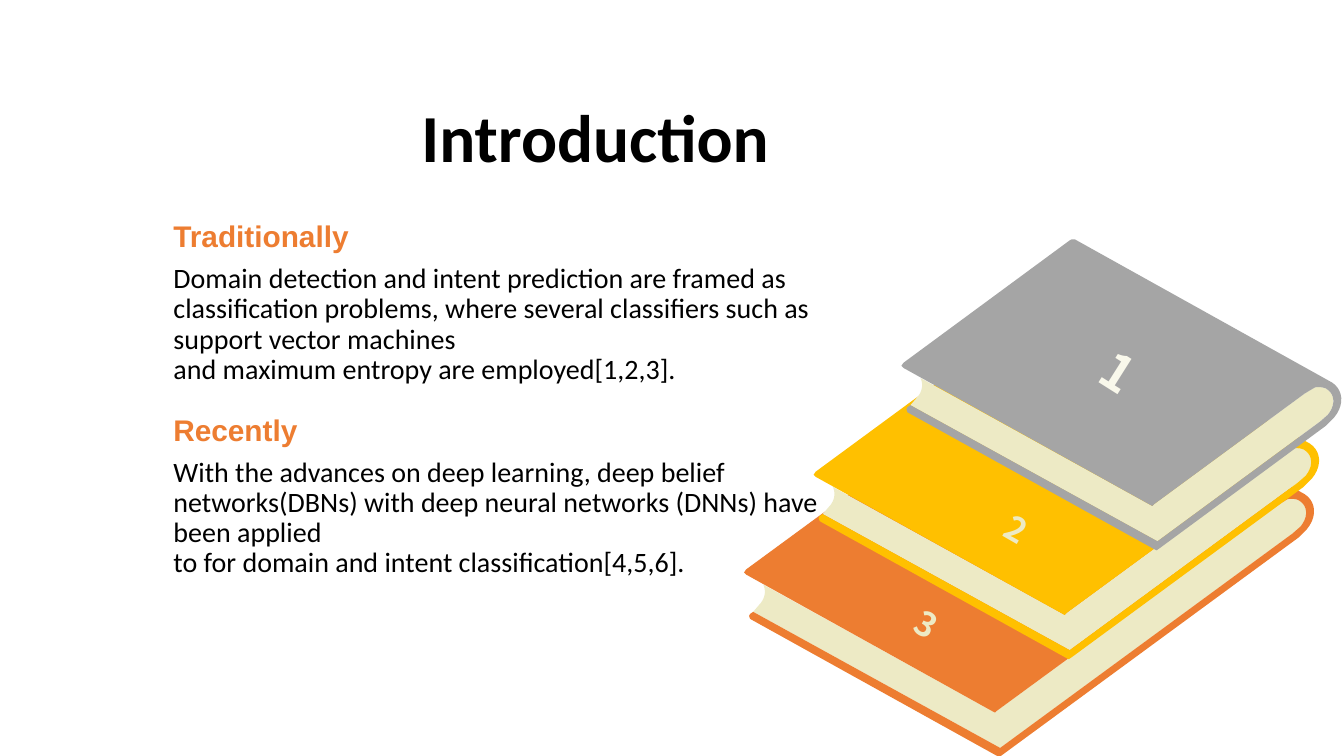
from pptx import Presentation
from pptx.dml.color import RGBColor
from pptx.enum.text import MSO_ANCHOR, MSO_AUTO_SIZE, PP_ALIGN
from pptx.oxml.xmlchemy import OxmlElement
from pptx.util import Inches, Pt

BLACK = RGBColor(0x00, 0x00, 0x00)
ORANGE = RGBColor(0xED, 0x7D, 0x31)
YELLOW = RGBColor(0xFF, 0xC0, 0x00)
GRAY = RGBColor(0xA5, 0xA5, 0xA5)
CREAM = RGBColor(0xED, 0xEA, 0xC5)
IVORY = RGBColor(0xF9, 0xF8, 0xEB)
NUMBER_FONT = "Noto Sans CJK SC"
DEPTH_SLOPE = -0.73


def curve(start, control_1, control_2, end, steps=10):
    points = []
    for step in range(steps + 1):
        t = step / steps
        weights = ((1 - t) ** 3, 3 * t * (1 - t) ** 2, 3 * t * t * (1 - t), t ** 3)
        corners = (start, control_1, control_2, end)
        points.append(tuple(sum(w * c[axis] for w, c in zip(weights, corners))
                            for axis in (0, 1)))
    return points


PAGE_HOLLOW = curve((0.19, 0.12), (0.22, 0.18), (0.21, 0.26), (0.15, 0.32))
SPINE_INSIDE = (curve((2.28, 1.53), (2.33, 1.5), (2.33, 1.5), (2.38, 1.47))
                + curve((2.38, 1.47), (2.42, 1.46), (2.47, 1.47), (2.49, 1.48))
                + curve((2.49, 1.48), (2.58, 1.53), (2.59, 1.64), (2.51, 1.74))
                + [(2.43, 1.81)])
SPINE_OUTSIDE = [(2.49, 1.85)] + curve((2.57, 1.77), (2.68, 1.64), (2.66, 1.49), (2.55, 1.42))
FRONT_CORNER = [(2.47, 1.38), (2.49, 1.39), (2.51, 1.37)]
BACK_COVER = [(2.54, 1.74), (0.09, 0.39), (0.06, 0.41), (0.05, 0.43), (0.06, 0.46),
              (2.51, 1.82), (2.53, 1.83), (2.56, 1.81)]
TOP_CORNER = [(0, 0), (-0.03, 0), (-0.05, 0.01)]
LEFT_CORNER = [(0.02, -0.03), (0, 0), (0.02, 0.02)]


def write(paragraph, text, *, size, color, font="Calibri", bold=False,
          align=PP_ALIGN.LEFT, line_spacing=1.0, before=0):
    paragraph.text = text
    paragraph.alignment = align
    paragraph.line_spacing = line_spacing
    paragraph.space_before = Pt(before)
    for run in paragraph.runs:
        run.font.size = Pt(size)
        run.font.name = font
        run.font.bold = bold
        run.font.color.rgb = color


class SlideBuilder:
    def __init__(self, slide):
        self.slide = slide

    def place(self, shape, left, top, width, height, wrap=True, anchor=MSO_ANCHOR.TOP):
        shape.left, shape.top = Inches(left), Inches(top)
        shape.width, shape.height = Inches(width), Inches(height)
        frame = shape.text_frame
        frame.auto_size = MSO_AUTO_SIZE.NONE
        frame.word_wrap = wrap
        frame.vertical_anchor = anchor
        return frame

    def title(self, text, *position):
        frame = self.place(self.slide.shapes.title, *position, wrap=False)
        write(frame.paragraphs[0], text, size=48, color=BLACK, bold=True)

    def section(self, index, heading, body, *position):
        frame = self.place(self.slide.placeholders[index], *position)
        write(frame.paragraphs[0], heading, size=21.3, color=ORANGE, font="Arial",
              bold=True, line_spacing=0.9, before=7.5)
        write(frame.add_paragraph(), body, size=20, color=BLACK,
              line_spacing=0.9, before=7.5)
        for paragraph in frame.paragraphs:
            properties = paragraph._p.get_or_add_pPr()
            properties.set("marL", "0")
            properties.set("indent", "0")
            properties.append(OxmlElement("a:buNone"))

    def outline(self, points, color):
        corners = [(Inches(x), Inches(y)) for x, y in points]
        builder = self.slide.shapes.build_freeform(*corners[0])
        builder.add_line_segments(corners[1:], close=True)
        shape = builder.convert_to_shape()
        shape.shadow.inherit = False
        shape.fill.solid()
        shape.fill.fore_color.rgb = color
        shape.line.fill.background()

    def book(self, left, top, depth, color):
        def near(points):
            return [(left + x, top + y) for x, y in points]

        def far(points):
            return [(left + depth + x, top + depth * DEPTH_SLOPE + y) for x, y in points]

        self.outline(near(FRONT_CORNER[:1] + PAGE_HOLLOW + BACK_COVER[1::-1])
                     + far(SPINE_INSIDE[::-1]) + near(FRONT_CORNER[:0:-1]), CREAM)
        self.outline(near(LEFT_CORNER + FRONT_CORNER) + far(SPINE_INSIDE)
                     + near(BACK_COVER) + far(SPINE_OUTSIDE + TOP_CORNER), color)

    def number(self, text, left, top, width, height, angle, size, color):
        shape = self.slide.shapes.add_textbox(0, 0, 0, 0)
        frame = self.place(shape, left, top, width, height, wrap=False,
                           anchor=MSO_ANCHOR.MIDDLE)
        shape.rotation = angle
        write(frame.paragraphs[0], text, size=size, color=color, font=NUMBER_FONT,
              bold=True, align=PP_ALIGN.CENTER)


def main():
    presentation = Presentation()
    presentation.slide_width, presentation.slide_height = Inches(13.33), Inches(7.5)
    builder = SlideBuilder(presentation.slides.add_slide(presentation.slide_layouts[3]))

    builder.book(7.38, 5.68, 3.01, ORANGE)
    builder.book(8.07, 4.71, 2.37, YELLOW)
    builder.book(8.94, 3.63, 1.72, GRAY)
    builder.number("3", 8.99, 5.94, 0.41, 0.5, 30, 24, CREAM)
    builder.number("2", 9.88, 5, 0.41, 0.5, 30, 24, CREAM)
    builder.number("1", 10.84, 3.33, 0.51, 0.71, 32.3, 36, IVORY)

    builder.title("Introduction", 4.08, 0.9, 3.84, 0.91)
    builder.section(
        1, "Traditionally",
        "Domain detection and intent prediction are framed as classification problems, "
        "where several classifiers such as support vector machines\v"
        "and maximum entropy are employed[1,2,3].",
        1.62, 2.15, 7.01, 0.47)
    builder.section(
        2, "Recently",
        "With the advances on deep learning, deep belief networks(DBNs) with deep neural "
        "networks (DNNs) have been applied\v"
        "to for domain and intent classification[4,5,6].",
        1.62, 4.07, 6.99, 0.4)
    presentation.save("out.pptx")


if __name__ == "__main__":
    main()
